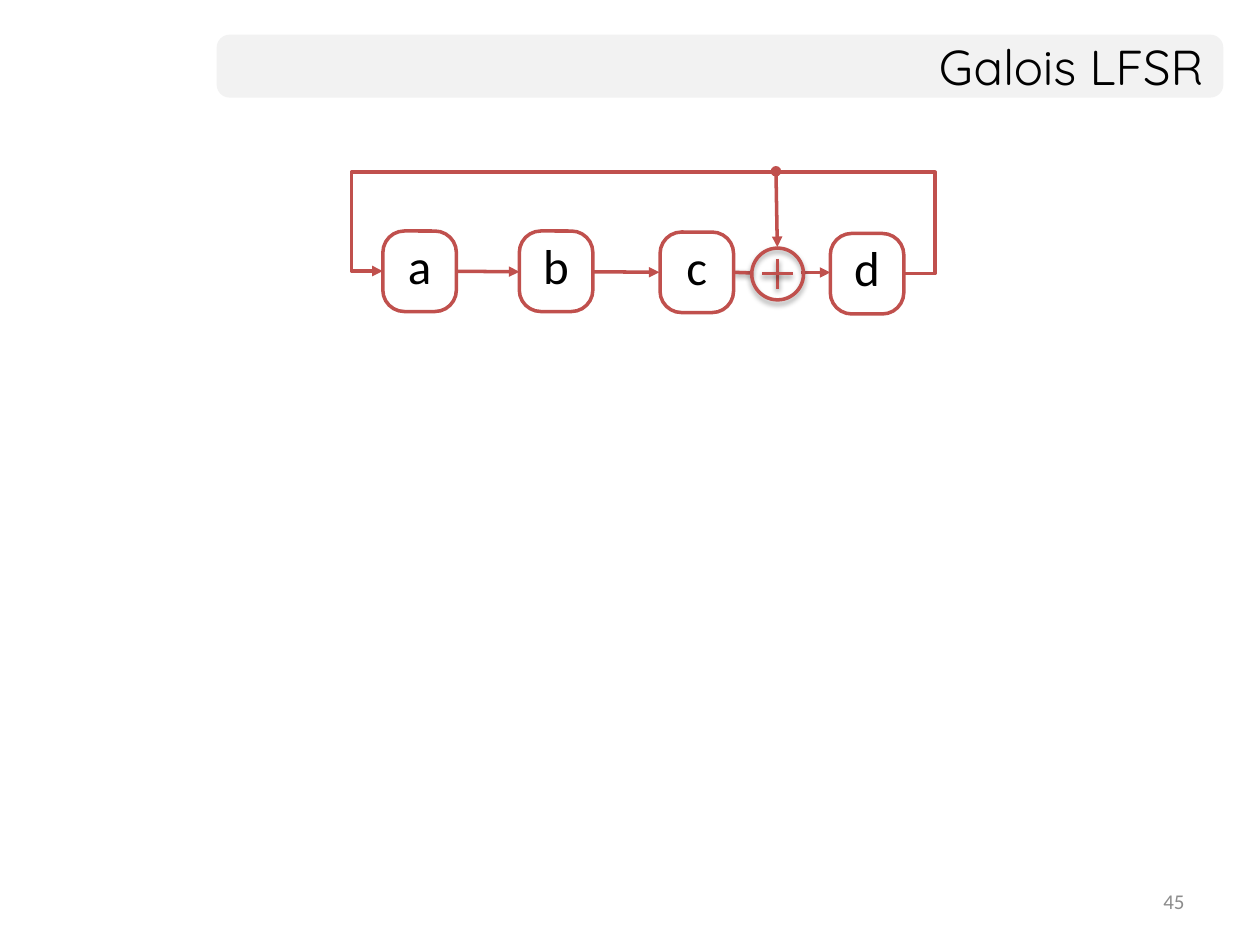
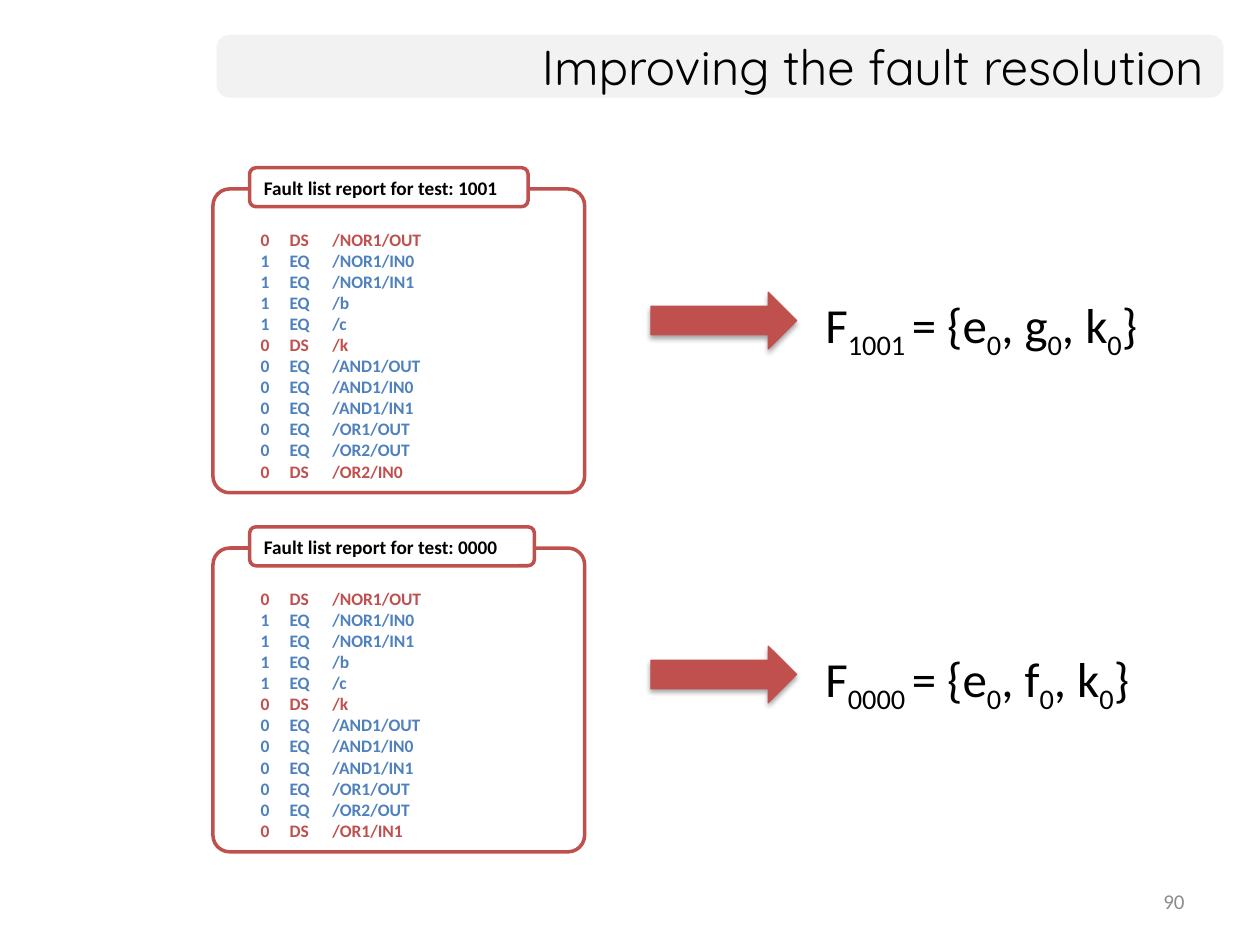
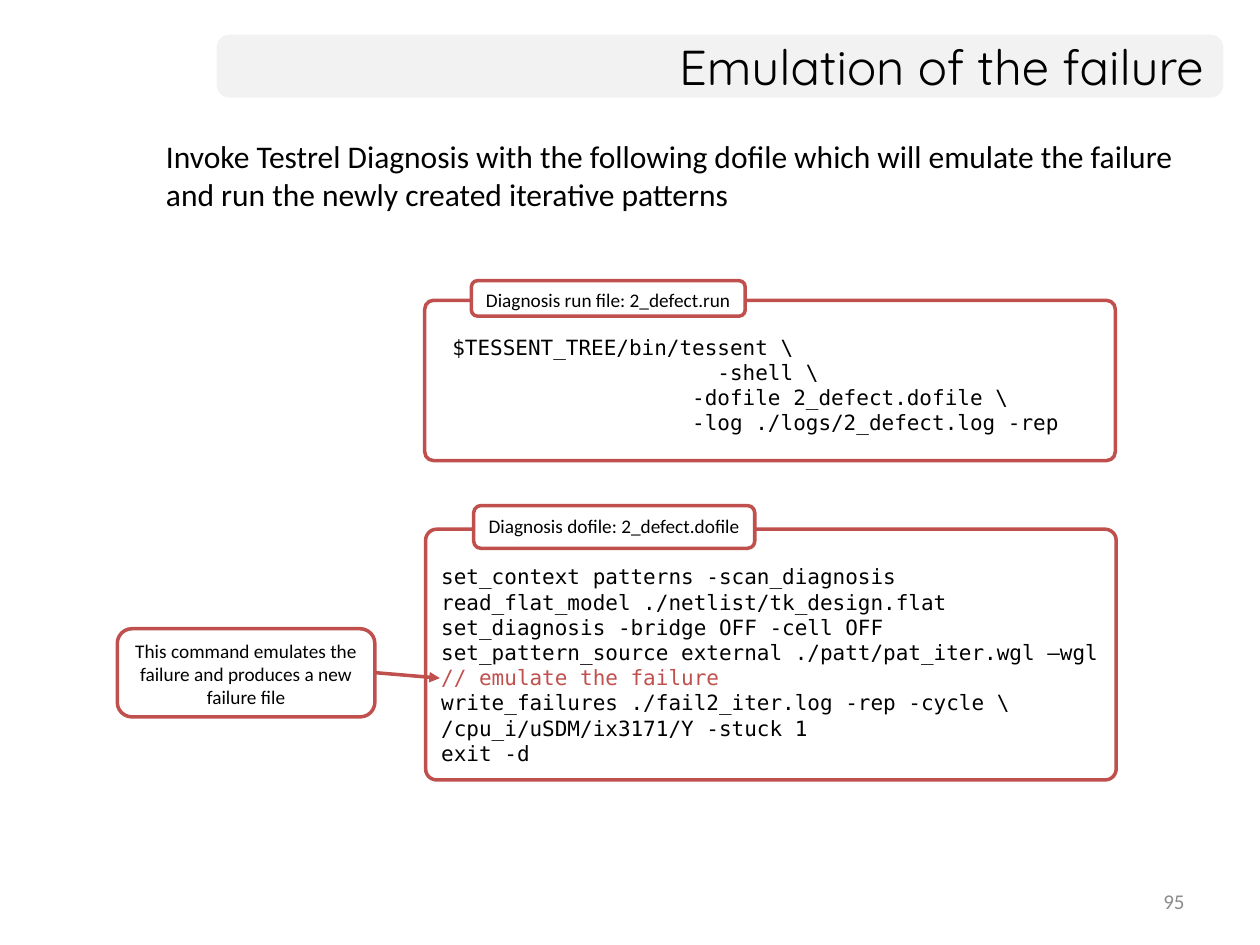
from lxml import etree
from pptx import Presentation
from pptx.dml.color import RGBColor
from pptx.enum import shapes, text
from pptx.oxml.ns import qn
from pptx.util import Pt

RED = RGBColor(0xC0, 0x50, 0x4D)
BLUE = RGBColor(0x4F, 0x81, 0xBD)
BLACK = RGBColor(0, 0, 0)
WHITE = RGBColor(0xFF, 0xFF, 0xFF)
BAND = RGBColor(0xF2, 0xF2, 0xF2)
GREY = RGBColor(0x8C, 0x8C, 0x8C)
BODY, MONO, HEADING = "Calibri", "DejaVu Sans Mono", "Quicksand"
SHAPE, ALIGN = shapes.MSO_SHAPE, text.PP_ALIGN
TOP, MIDDLE = text.MSO_ANCHOR.TOP, text.MSO_ANCHOR.MIDDLE

# Content: register cells as (label, left, top)
CELLS = [("d", 474.5, 133.4), ("c", 377.2, 132.6), ("b", 296.8, 132), ("a", 218.8, 132)]
CELL_W, CELL_H = 42, 46
FEEDBACK_TOP, FEEDBACK_REACH = 97.9, 18

# Faults as (value, class, pin); both tests share all but the last
SHARED_FAULTS = [
    ("0", "DS", "/NOR1/OUT"), ("1", "EQ", "/NOR1/IN0"), ("1", "EQ", "/NOR1/IN1"),
    ("1", "EQ", "/b"), ("1", "EQ", "/c"), ("0", "DS", "/k"),
    ("0", "EQ", "/AND1/OUT"), ("0", "EQ", "/AND1/IN0"), ("0", "EQ", "/AND1/IN1"),
    ("0", "EQ", "/OR1/OUT"), ("0", "EQ", "/OR2/OUT"),
]
FAULT_COLOURS = {"DS": RED, "EQ": BLUE}
FAULT_TABS = (16.5, 41)
# Test, last fault, middle letter of the set, top of report, label width, top of arrow
REPORTS = [
    ("1001", ("0", "DS", "/OR2/IN0"), "g", 108, 159.2, 167),
    ("0000", ("0", "DS", "/OR1/IN1"), "f", 313.2, 162.8, 369.2),
]

INTRO = ("Invoke Testrel Diagnosis with the following dofile which will emulate "
         "the failure and run the newly created iterative patterns")
CALLOUT = "This command emulates the failure and produces a new failure file"
DOFILE = [
    "set_context patterns -scan_diagnosis",
    "read_flat_model ./netlist/tk_design.flat",
    "set_diagnosis -bridge OFF -cell OFF",
    "set_pattern_source external ./patt/pat_iter.wgl –wgl",
    "// emulate the failure",
    "write_failures ./fail2_iter.log -rep -cycle \\ /cpu_i/uSDM/ix3171/Y -stuck 1",
    "exit -d",
]
RUN_FILE = [
    " $TESSENT_TREE/bin/tessent \\",
    "                      -shell \\",
    "                    -dofile 2_defect.dofile \\",
    "                    -log ./logs/2_defect.log -rep",
]
# Label, lines, box of the listing, corner, box of the label
LISTINGS = [
    ("Diagnosis dofile: 2_defect.dofile", DOFILE, (243.2, 302.4, 394.6, 143.3), 0.044,
     (270.7, 288.9, 160.6, 24.4)),
    ("Diagnosis run file: 2_defect.run", RUN_FILE, (242.7, 171.6, 394.6, 91.6), 0.055,
     (269.4, 160.4, 156.4, 20.2)),
]


def add_shadow(item, opacity, distance):
    effects = item._element.spPr.find(qn("a:effectLst"))
    outer = etree.SubElement(effects, qn("a:outerShdw"), blurRad=str(Pt(3.1)),
                             dist=str(Pt(distance)), dir="5400000", rotWithShape="0")
    colour = etree.SubElement(outer, qn("a:srgbClr"), val="000000")
    etree.SubElement(colour, qn("a:alpha"), val=str(opacity * 1000))


def write(item, lines, size, font=BODY, colour=BLACK, bold=False, align=ALIGN.LEFT,
          anchor=TOP, margins=(7.2, 3.6, 7.2, 3.6), tabs=()):
    """Fill a shape; each line is a string or a (string, colour) pair."""
    frame = item.text_frame
    frame.word_wrap = True
    frame.vertical_anchor = anchor
    (frame.margin_left, frame.margin_top,
     frame.margin_right, frame.margin_bottom) = map(Pt, margins)
    for i, line in enumerate(lines):
        words, shade = (line, colour) if isinstance(line, str) else line
        paragraph = frame.paragraphs[0] if i == 0 else frame.add_paragraph()
        paragraph.text = words
        paragraph.alignment = align
        if tabs:
            stops = etree.SubElement(paragraph._p.get_or_add_pPr(), qn("a:tabLst"))
            for stop in tabs:
                etree.SubElement(stops, qn("a:tab"), pos=str(Pt(stop)), algn="l")
        paragraph.font.name = font
        paragraph.font.size = Pt(size)
        paragraph.font.bold = bold
        paragraph.font.color.rgb = shade


def add_text(slide, box, lines, size, **style):
    item = slide.shapes.add_textbox(*map(Pt, box))
    write(item, lines, size, **style)
    return item


def add_box(slide, kind, box, fill=WHITE, line=RED, weight=2, corner=None):
    item = slide.shapes.add_shape(kind, *map(Pt, box))
    item.shadow.inherit = False
    if corner is not None:
        item.adjustments[0] = corner
    if fill is None:
        item.fill.background()
    else:
        item.fill.solid()
        item.fill.fore_color.rgb = fill
    if line is None:
        item.line.fill.background()
    else:
        item.line.color.rgb = line
        item.line.width = Pt(weight)
    return item


def add_line(slide, start, end, head=None, tail=None, kind=shapes.MSO_CONNECTOR.STRAIGHT):
    item = slide.shapes.add_connector(kind, *map(Pt, start + end))
    item.line.color.rgb = RED
    item.line.width = Pt(2)
    outline = item.line._get_or_add_ln()
    for tag, end_type in (("a:headEnd", head), ("a:tailEnd", tail)):
        if end_type:
            etree.SubElement(outline, qn(tag), type=end_type)
    etree.SubElement(item._element.spPr, qn("a:effectLst"))
    return item


def add_feedback(slide, start, end):
    """Five-part elbow that leaves on the right and returns on the left."""
    item = add_line(slide, start, end, tail="triangle", kind=shapes.MSO_CONNECTOR.ELBOW)
    reach = FEEDBACK_REACH / (start[0] - end[0])
    rise = (start[1] - FEEDBACK_TOP) / (start[1] - end[1])
    geometry = item._element.spPr.find(qn("a:prstGeom"))
    geometry.set("prst", "bentConnector5")
    guides = geometry.find(qn("a:avLst"))
    for i, share in enumerate((-reach, rise, 1 + reach), 1):
        etree.SubElement(guides, qn("a:gd"), name=f"adj{i}",
                         fmla=f"val {round(share * 100000)}")


def new_slide(deck, title, number):
    slide = deck.slides.add_slide(deck.slide_layouts[6])
    add_box(slide, SHAPE.ROUNDED_RECTANGLE, (123.8, 19.8, 575.3, 36), BAND, None, corner=0.208)
    add_text(slide, (123.8, 19.8, 571, 36), [title], 28, font=HEADING,
             align=ALIGN.RIGHT, anchor=MIDDLE, margins=(7.2, 0, 7.2, 0))
    add_text(slide, (516, 500.5, 168, 28.8), [number], 12, colour=GREY,
             align=ALIGN.RIGHT, anchor=MIDDLE)
    return slide


def draw_register(deck):
    slide = new_slide(deck, "Galois LFSR", "45")
    # Wires behind the cells
    add_shadow(add_line(slide, (419, 155.6), (430, 156)), 38, 1.6)
    add_line(slide, (258.8, 155), (296.8, 155.3), tail="triangle")
    add_line(slide, (337.8, 155.3), (376.8, 155.6), tail="triangle")
    add_feedback(slide, (516.5, 156.3), (218.8, 154.9))
    for label, left, top in CELLS:
        cell = add_box(slide, SHAPE.ROUNDED_RECTANGLE, (left, top, CELL_W, CELL_H), corner=0.292)
        write(cell, [label], 28, align=ALIGN.CENTER, anchor=MIDDLE,
              margins=(7.2, 3.6, 7.2, 10.8))
    # Adder
    add_line(slide, (458, 155.7), (474.5, 155.7), tail="triangle")
    add_line(slide, (443.4, FEEDBACK_TOP), (444.2, 141.2), head="oval", tail="triangle")
    add_shadow(add_box(slide, SHAPE.OVAL, (429.6, 141.8, 29.6, 29.6), fill=None), 35, 1.8)
    for start, end in (((444.2, 147.9), (444.2, 165)), ((435.5, 156.4), (452.9, 156.4))):
        add_shadow(add_line(slide, start, end), 38, 1.6)


def draw_fault_reports(deck):
    slide = new_slide(deck, "Improving the fault resolution", "90")
    for test, last_fault, letter, top, label_width, arrow_top in REPORTS:
        # Report
        add_box(slide, SHAPE.ROUNDED_RECTANGLE, (121.7, top, 212.4, 173.6), corner=0.055)
        label = add_box(slide, SHAPE.ROUNDED_RECTANGLE, (142.6, top - 12.2, label_width, 22.3))
        write(label, [f"Fault list report for test: {test}"], 11, bold=True)
        faults = [("\t".join(fault), FAULT_COLOURS[fault[1]])
                  for fault in SHARED_FAULTS + [last_fault]]
        add_text(slide, (141.9, top + 19.4, 124, 152.6), faults, 10, bold=True, tabs=FAULT_TABS)
        # Resulting fault set
        arrow = add_box(slide, SHAPE.RIGHT_ARROW, (372, arrow_top, 83.2, 32.4), RED, weight=0.75)
        add_shadow(arrow, 35, 1.8)
        fault_set = add_text(slide, (464.6, arrow_top - 2.2, 211, 45.4), [""], 28)
        paragraph = fault_set.text_frame.paragraphs[0]
        pieces = ["F", f"{test} ", "= {e", "0", f", {letter}", "0", ", k", "0", "}"]
        for i, piece in enumerate(pieces):
            run = paragraph.add_run()
            run.text = piece
            if i % 2:
                run.font._element.set("baseline", "-25000")


def draw_emulation(deck):
    slide = new_slide(deck, "Emulation of the failure", "95")
    add_text(slide, (87.8, 74.9, 604, 51), [INTRO], 18)
    for label, lines, box, corner, label_box in LISTINGS:
        listing = add_box(slide, SHAPE.ROUNDED_RECTANGLE, box, corner=corner)
        code = [(line, RED if line.startswith("//") else BLACK) for line in lines]
        write(listing, code, 12, font=MONO, margins=(7.2, 18, 4, 3.6))
        tag = add_box(slide, SHAPE.ROUNDED_RECTANGLE, label_box)
        write(tag, [label], 11, align=ALIGN.CENTER)
    callout = add_box(slide, SHAPE.ROUNDED_RECTANGLE, (67, 359.3, 147.2, 50.4))
    write(callout, [CALLOUT], 11, align=ALIGN.CENTER)
    add_line(slide, (214.4, 384.4), (251.4, 387.5), tail="triangle")


def main():
    deck = Presentation()
    deck.slide_width, deck.slide_height = Pt(720), Pt(540)
    draw_register(deck)
    draw_fault_reports(deck)
    draw_emulation(deck)
    deck.save("out.pptx")


if __name__ == "__main__":
    main()
